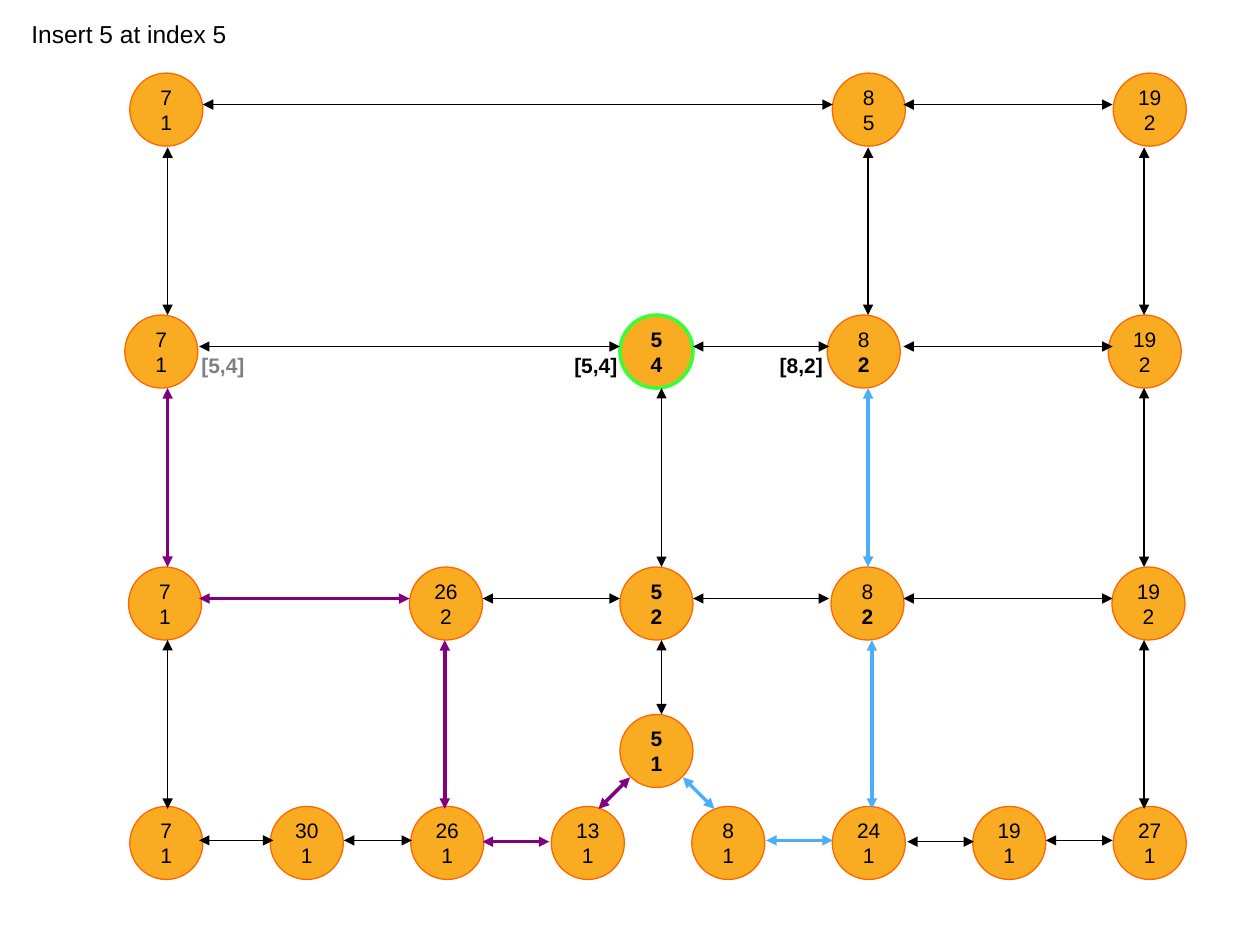
from dataclasses import dataclass

from lxml.etree import SubElement
from pptx import Presentation
from pptx.dml.color import RGBColor
from pptx.enum.shapes import MSO_CONNECTOR as Conn, MSO_SHAPE as Shape
from pptx.enum.text import MSO_ANCHOR as Anchor, MSO_AUTO_SIZE as AutoSize, PP_ALIGN as Align
from pptx.oxml.ns import qn
from pptx.util import Inches, Pt


@dataclass(frozen=True)
class Theme:
    font: str = "Arial"
    title_size: float = 14
    body_size: float = 12
    thin: float = 0.75
    thick: float = 2
    ink: str = "000000"
    muted: str = "808080"
    node: str = "F9AC21"
    node_edge: str = "FF6600"
    inserted: str = "37FF37"
    left_path: str = "800080"
    right_path: str = "4CAEF8"


T = Theme()
DIAMETER = 0.58
COLUMN_STEP = 1.115
INSERTED_X = 4.92


def write_text(tf, lines, size=T.body_size, color=T.ink, bold_lines=0, align=Align.LEFT):
    tf.word_wrap = False
    for i, line in enumerate(lines):
        p = tf.paragraphs[0] if i == 0 else tf.add_paragraph()
        p.alignment = align
        r = p.add_run()
        r.text = line
        r.font.name = T.font
        r.font.size = Pt(size)
        r.font.bold = i >= len(lines) - bold_lines
        r.font.color.rgb = RGBColor.from_string(color)


class Diagram:
    def __init__(self, slide, theme):
        self.s = slide
        self.theme = theme

    def stroke(self, line, color, width):
        line.color.rgb = RGBColor.from_string(color)
        line.width = Pt(width)

    def node(self, x, y, value, count, bold_lines=0, highlight=False):
        t = self.theme
        sp = self.s.shapes.add_shape(
            Shape.OVAL, Inches(x), Inches(y), Inches(DIAMETER), Inches(DIAMETER))
        sp.shadow.inherit = False
        sp.fill.solid()
        sp.fill.fore_color.rgb = RGBColor.from_string(t.node)
        edge, width = (t.inserted, t.thick) if highlight else (t.node_edge, t.thin)
        self.stroke(sp.line, edge, width)
        sp.text_frame.vertical_anchor = Anchor.MIDDLE
        write_text(sp.text_frame, [value, count], bold_lines=bold_lines, align=Align.CENTER)

    def link(self, x1, y1, x2, y2, color=T.ink):
        t = self.theme
        cxn = self.s.shapes.add_connector(
            Conn.STRAIGHT, Inches(x1), Inches(y1), Inches(x2), Inches(y2))
        self.stroke(cxn.line, color, t.thin if color == t.ink else t.thick)
        ln = cxn.line._get_or_add_ln()
        for end in ("a:headEnd", "a:tailEnd"):
            SubElement(ln, qn(end), type="triangle")
        SubElement(cxn._element.spPr, qn("a:effectLst"))

    def label(self, x, y, w, h, text, **fmt):
        tb = self.s.shapes.add_textbox(Inches(x), Inches(y), Inches(w), Inches(h))
        write_text(tb.text_frame, [text], **fmt)
        tb.text_frame.auto_size = AutoSize.SHAPE_TO_FIT_TEXT


LEVELS = [
    (1.03, 6.4, [(0, "7", "1", 0), (1, "30", "1", 0), (2, "26", "1", 0), (3, "13", "1", 0),
                 (4, "8", "1", 0), (5, "24", "1", 0), (6, "19", "1", 0), (7, "27", "1", 0)]),
    (1.02, 4.5, [(0, "7", "1", 0), (2, "26", "2", 0), (5, "8", "2", 1), (7, "19", "2", 0)]),
    (0.99, 2.5, [(0, "7", "1", 0), (5, "8", "2", 1), (7, "19", "2", 0)]),
    (1.03, 0.58, [(0, "7", "1", 0), (5, "8", "5", 0), (7, "19", "2", 0)]),
]
INSERTED = [(5.67, "1", False), (4.5, "2", False), (2.5, "4", True)]

ROW_LINKS = [
    (0.83, [(1.61, 6.61, T.ink), (7.17, 8.83, T.ink)]),
    (2.75, [(1.58, 4.92, T.ink), (5.5, 6.58, T.ink), (7.17, 8.83, T.ink)]),
    (4.75, [(1.58, 3.25, T.left_path), (3.83, 4.92, T.ink),
            (5.5, 6.58, T.ink), (7.17, 8.83, T.ink)]),
    (6.67, [(1.58, 2.17, T.ink), (2.73, 3.27, T.ink),
            (6.08, 6.61, T.right_path), (8.3, 8.83, T.ink)]),
    (6.68, [(3.83, 4.36, T.left_path), (7.2, 7.73, T.ink)]),
]
COLUMN_LINKS = [
    (1.17, 2.5, [(1.33, T.ink), (6.89, T.ink), (9.08, T.ink)]),
    (3.08, 4.5, [(1.33, T.left_path), (5.25, T.ink), (6.89, T.right_path), (9.08, T.ink)]),
    (5.08, 6.42, [(1.33, T.ink), (3.53, T.left_path), (6.92, T.right_path), (9.08, T.ink)]),
    (5.08, 5.67, [(5.25, T.ink)]),
]
RANGE_LABELS = [(1.5, "[5,4]", T.muted), (4.46, "[5,4]", T.ink), (6.09, "[8,2]", T.ink)]


def main():
    prs = Presentation()
    prs.slide_width, prs.slide_height = Inches(10), Inches(7.5)
    d = Diagram(prs.slides.add_slide(prs.slide_layouts[6]), T)

    for left, y, nodes in LEVELS:
        for column, value, count, bold_lines in nodes:
            d.node(left + column * COLUMN_STEP, y, value, count, bold_lines)
    for y, count, highlight in INSERTED:
        d.node(INSERTED_X, y, "5", count, bold_lines=2, highlight=highlight)

    for y, links in ROW_LINKS:
        for x1, x2, color in links:
            d.link(x1, y, x2, y, color)
    for y1, y2, links in COLUMN_LINKS:
        for x, color in links:
            d.link(x, y1, x, y2, color)
    d.link(4.75, 6.42, 5, 6.17, T.left_path)
    d.link(5.42, 6.17, 5.67, 6.42, T.right_path)

    d.label(0.15, 0.1, 1.79, 0.34, "Insert 5 at index 5", size=T.title_size)
    for x, text, color in RANGE_LABELS:
        d.label(x, 2.75, 0.54, 0.3, text, color=color, bold_lines=1)

    prs.save("out.pptx")


if __name__ == "__main__":
    main()
